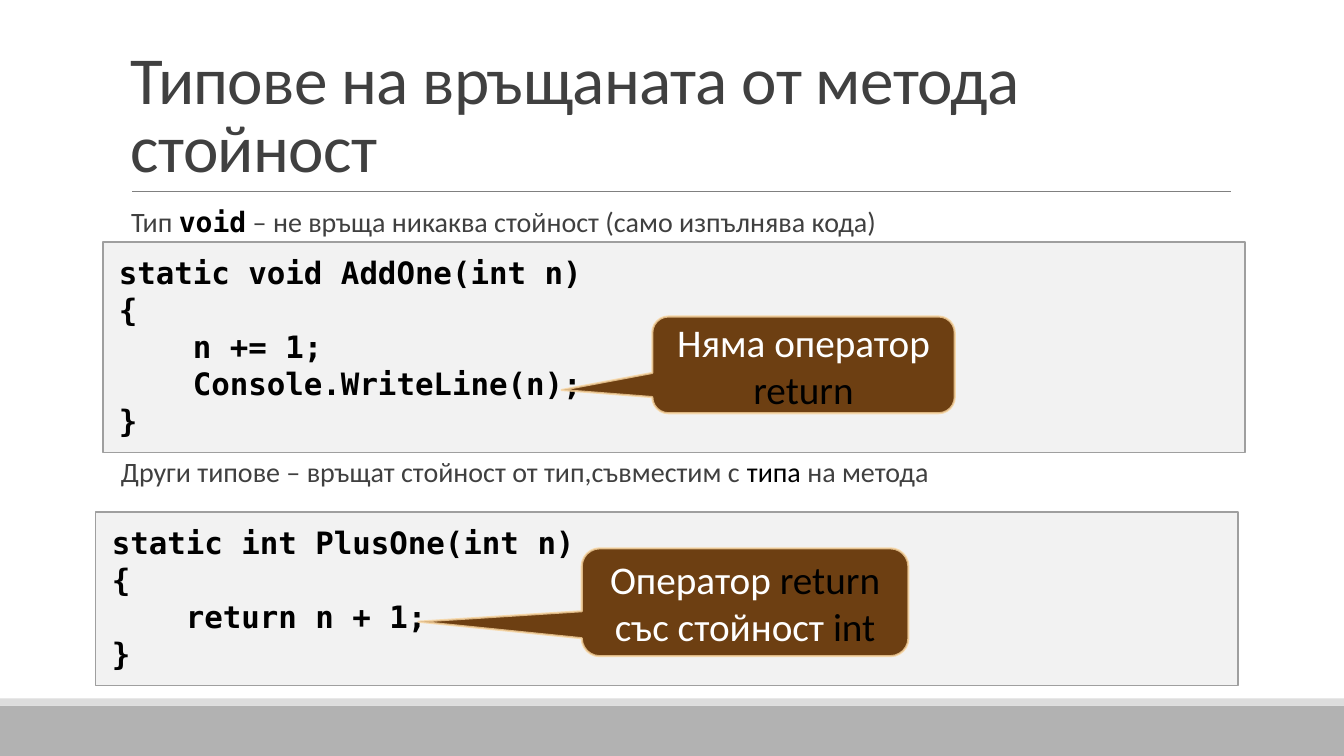
from lxml import etree
from pptx import Presentation
from pptx.dml.color import RGBColor
from pptx.enum.shapes import MSO_CONNECTOR, MSO_SHAPE
from pptx.enum.text import MSO_ANCHOR, PP_ALIGN
from pptx.oxml.ns import qn
from pptx.util import Inches, Pt

RECTANGLE = MSO_SHAPE.RECTANGLE
CALLOUT = MSO_SHAPE.ROUNDED_RECTANGULAR_CALLOUT
STRAIGHT = MSO_CONNECTOR.STRAIGHT
TOP, MIDDLE, BOTTOM = MSO_ANCHOR.TOP, MSO_ANCHOR.MIDDLE, MSO_ANCHOR.BOTTOM
LEFT, CENTER = PP_ALIGN.LEFT, PP_ALIGN.CENTER

SLIDE_W, SLIDE_H = 13.33, 7.5
BODY_FONT, CODE_FONT = "Calibri", "DejaVu Sans Mono"
COLORS = {
    "footer": "B2B2B2", "footer_edge": "DDDDDD", "rule": "808080",
    "text": "404040", "accent": "000000", "light": "FFFFFF",
    "code_fill": "BFBFBF", "code_line": "9F9F9F",
    "callout_fill": "663606", "callout_line": "F8D49E",
}

TITLE = "Типове на връщаната от метода стойност"
# Each run is (text, colour) or (text, colour, code font)
VOID_NOTE = [("Тип ", "text"), ("void", "accent", True),
             (" – не връща никаква стойност (само изпълнява кода)", "text")]
OTHER_NOTE = [("Други типове – връщат стойност от тип,съвместим с ", "text"),
              ("типа ", "accent"), ("на метода", "text")]
VOID_CODE = """static void AddOne(int n)
{
    n += 1;
    Console.WriteLine(n);
}"""
INT_CODE = """static int PlusOne(int n)
{
    return n + 1;
}"""
NO_RETURN = [("Няма оператор ", "light"), ("return", "accent")]
INT_RETURN = [("Оператор ", "light"), ("return ", "accent"),
              ("със стойност ", "light"), ("int", "accent")]


def rgb(color):
    return RGBColor.from_string(COLORS[color])


def set_opacity(fill_parent, percent):
    """Make the solid colour inside a shape's fill or line translucent."""
    color = fill_parent.find(qn("a:solidFill"))[0]
    etree.SubElement(color, qn("a:alpha")).set("val", str(percent * 1000))


def setup_frame(frame, anchor, margin_x=0.1, margin_y=0.05):
    frame.word_wrap = True
    frame.vertical_anchor = anchor
    frame.margin_left = frame.margin_right = Inches(margin_x)
    frame.margin_top = frame.margin_bottom = Inches(margin_y)


def write_runs(paragraph, runs, size, align=LEFT):
    paragraph.alignment = align
    paragraph.font.size = Pt(size)
    for text, color, *code in runs:
        run = paragraph.add_run()
        run.text = text
        run.font.name = CODE_FONT if code else BODY_FONT
        run.font.bold = bool(code)
        run.font.color.rgb = rgb(color)


def add_panel(slide, kind, box, fill, opacity=100, line=None, width=1):
    panel = slide.shapes.add_shape(kind, *map(Inches, box))
    panel.shadow.inherit = False
    panel.fill.solid()
    panel.fill.fore_color.rgb = rgb(fill)
    set_opacity(panel.fill._xPr, opacity)
    if line:
        panel.line.color.rgb = rgb(line)
        panel.line.width = Pt(width)
    else:
        panel.line.fill.background()
    return panel


def add_footer(slide):
    bar, edge = 0.5, 0.07
    top = SLIDE_H - bar
    add_panel(slide, RECTANGLE, (0, top, SLIDE_W, bar), "footer")
    add_panel(slide, RECTANGLE, (0, top - edge, SLIDE_W, edge), "footer_edge")


def add_title(slide):
    title = slide.shapes.add_textbox(*map(Inches, (1.2, 0.31, 11, 1.59)))
    setup_frame(title.text_frame, BOTTOM)
    heading = title.text_frame.paragraphs[0]
    write_runs(heading, [(TITLE, "text")], 48)
    heading.line_spacing = 0.85
    heading.runs[0].font._element.set("spc", "-50")

    rule = slide.shapes.add_connector(
        STRAIGHT, *map(Inches, (1.31, 1.9, 12.21, 1.9)))
    rule.line.color.rgb = rgb("rule")
    rule.line.width = Pt(0.5)
    etree.SubElement(rule._element.spPr, qn("a:effectLst"))


def add_note(slide, left, top, runs):
    note = slide.shapes.add_textbox(*map(Inches, (left, top, 11, 0.4)))
    setup_frame(note.text_frame, TOP, margin_x=0)
    paragraph = note.text_frame.paragraphs[0]
    write_runs(paragraph, runs, 20)
    paragraph.line_spacing = 0.9


def add_code(slide, left, top, height, code):
    panel = add_panel(slide, RECTANGLE, (left, top, 11.33, height),
                      "code_fill", 20, "code_line")
    frame = panel.text_frame
    setup_frame(frame, TOP, 0.16, 0.12)
    for number, code_line in enumerate(code.split("\n")):
        paragraph = frame.add_paragraph() if number else frame.paragraphs[0]
        paragraph.text = code_line
        paragraph.alignment = LEFT
        paragraph.font.name = CODE_FONT
        paragraph.font.size = Pt(22)
        paragraph.font.bold = True
        paragraph.font.color.rgb = rgb("accent")


def add_callout(slide, box, tip, runs):
    """Add a callout whose tip is a share of its size away from its centre."""
    callout = add_panel(slide, CALLOUT, box, "callout_fill", 95,
                        "callout_line", 1.5)
    set_opacity(callout.line.fill._xPr, 80)
    callout.adjustments[0], callout.adjustments[1] = tip
    setup_frame(callout.text_frame, MIDDLE)
    write_runs(callout.text_frame.paragraphs[0], runs, 28, CENTER)


def main():
    deck = Presentation()
    deck.slide_width, deck.slide_height = Inches(SLIDE_W), Inches(SLIDE_H)
    slide = deck.slides.add_slide(deck.slide_layouts[6])
    add_footer(slide)
    add_title(slide)
    add_note(slide, 1.3, 2.02, VOID_NOTE)
    add_note(slide, 1.2, 4.5, OTHER_NOTE)
    add_code(slide, 1.02, 2.4, 2.09, VOID_CODE)
    add_code(slide, 0.95, 5.08, 1.72, INT_CODE)
    add_callout(slide, (6.47, 3.14, 3, 0.96), (-0.8, 0.26), NO_RETURN)
    add_callout(slide, (5.77, 5.44, 3.24, 1.07), (-1, 0.18), INT_RETURN)
    deck.save("out.pptx")


if __name__ == "__main__":
    main()
